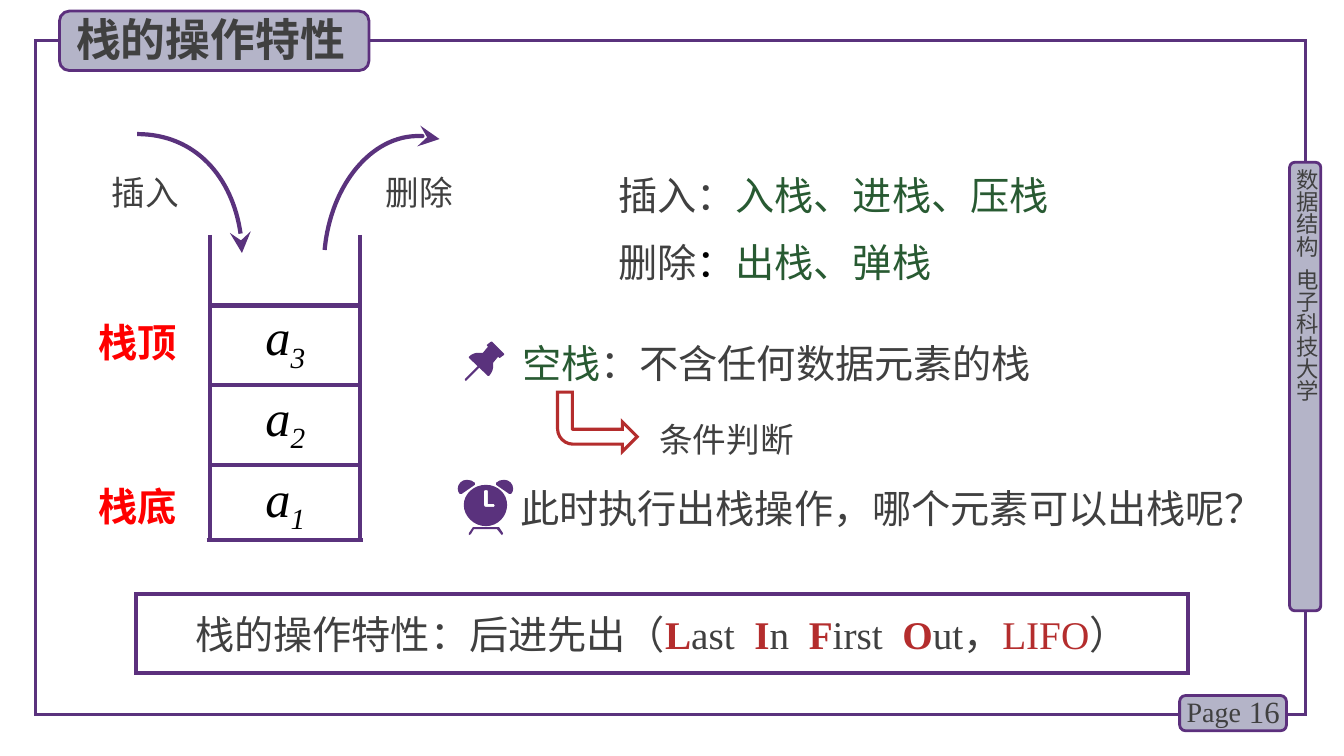
from lxml import etree
from pptx import Presentation
from pptx import util as u
from pptx.dml.color import RGBColor
from pptx.enum import shapes, text
from pptx.oxml.ns import qn

COLORS = {"purple": "5A327D", "edge": "5C307D", "panel": "B4B4C8", "ink": "404040",
          "green": "285A32", "brick": "B42D2D", "red": "FF0000", "black": "000000"}
HAN, ROMAN = "Noto Sans CJK SC", "Times New Roman"

TITLE = "栈的操作特性"
OPERATIONS = [
    [("插入：", "ink"), ("入栈、进栈、压栈", "green")],
    [("删除", "ink"), ("：", "black"), ("出栈、弹栈", "green")],
]
SUMMARY = [("栈的操作特性：后进先出（", "ink")]
for initial, rest in [("L", "ast"), ("I", "n"), ("F", "irst"), ("O", "ut，")]:
    SUMMARY += [(initial, "brick", True), (rest, "ink")]
    if initial != "O":
        SUMMARY.append((" ", "ink"))
SUMMARY += [("LIFO", "brick"), ("）", "ink")]

# place (left, top, width, height), size, font, spans
LABELS = [
    ((11.67, 6.84, 0.78, 0.44), 20, ROMAN, [("Page", "ink")]),
    ((1.01, 1.66, 0.98, 0.5), 24, HAN, [("插入", "ink")]),
    ((3.73, 1.66, 0.92, 0.5), 24, HAN, [("删除", "ink")]),
    ((0.88, 3.11, 1.02, 0.57), 28, ROMAN, [("栈顶", "red", True)]),
    ((0.88, 4.73, 1.02, 0.57), 28, ROMAN, [("栈底", "red", True)]),
    ((5.08, 3.31, 5.66, 0.57), 28, HAN, [("空栈", "green"), ("：不含任何数据元素的栈", "ink")]),
    ((6.44, 4.07, 1.68, 0.57), 24, HAN, [("条件判断", "ink")]),
    ((5.06, 4.7, 7.7, 0.67), 28, HAN, [("此时执行出栈操作，哪个元素可以出栈呢？", "ink")]),
]
TABS = [(12.79, 1.61, 0.31, 4.45), (11.7, 6.9, 1.06, 0.35), (0.59, 0.11, 3.07, 0.59)]

# Stack: walls, base and the shelves between the elements
WALLS, RIM, BASE = (2.08, 3.57), 2.33, 5.36
SHELF_TOP, SHELF_STEP = 3.03, 0.79
ELEMENTS = ["3", "2", "1"]

# Outlines: pairs are corners, sextuples are cubic curves
ARCS = [
    [(1.36, 1.33), (1.94, 1.33, 2.4, 1.86, 2.4, 2.51)],
    [(3.22, 2.48), (3.28, 1.83, 3.69, 1.34, 4.16, 1.35), (4.23, 1.35, 4.29, 1.36, 4.36, 1.38)],
]
CLOCK_LEGS = [(4.99, 5.29), (4.95, 5.23), (4.69, 5.23), (4.65, 5.29), (4.65, 5.31),
              (4.67, 5.3), (4.7, 5.25), (4.93, 5.25), (4.97, 5.3), (4.98, 5.31)]
LEFT_BELL = [(4.63, 4.76), (4.58, 4.76, 4.54, 4.8, 4.54, 4.85),
             (4.54, 4.87, 4.55, 4.89, 4.56, 4.9), (4.58, 4.9), (4.71, 4.81), (4.71, 4.79),
             (4.69, 4.77, 4.66, 4.76, 4.63, 4.76)]
CLOCK_AXIS = 4.815
RIGHT_BELL = [tuple(2 * CLOCK_AXIS - v if i % 2 == 0 else v for i, v in enumerate(step))
              for step in LEFT_BELL]
CLOCK_FACE = [(4.82, 4.81), (4.7, 4.81, 4.6, 4.9, 4.6, 5.01), (4.6, 5.12, 4.7, 5.22, 4.82, 5.22),
              (4.94, 5.22, 5.03, 5.12, 5.03, 5.01), (5.03, 4.9, 4.94, 4.81, 4.82, 4.81)]
CLOCK_HANDS = [(4.9, 5.03), (4.82, 5.03), (4.81, 5.03, 4.8, 5.02, 4.8, 5.01), (4.8, 4.87),
               (4.8, 4.86, 4.84, 4.86, 4.84, 4.87), (4.84, 5), (4.9, 5),
               (4.91, 5, 4.91, 5.03, 4.9, 5.03)]
PIN_HEAD = [(5, 3.51), (4.88, 3.39), (4.87, 3.39), (4.83, 3.42), (4.83, 3.43), (4.84, 3.44),
            (4.79, 3.5), (4.78, 3.5, 4.76, 3.5, 4.75, 3.5), (4.71, 3.5, 4.68, 3.51, 4.65, 3.54),
            (4.65, 3.55), (4.84, 3.73), (4.85, 3.73), (4.88, 3.7, 4.9, 3.65, 4.89, 3.6),
            (4.94, 3.54), (4.95, 3.55), (4.96, 3.55), (5, 3.52)]
PIN_NEEDLE = [(4.62, 3.78), (4.61, 3.77), (4.61, 3.76), (4.74, 3.63), (4.76, 3.63),
              (4.76, 3.64), (4.63, 3.77)]
ICONS = [[CLOCK_LEGS], [LEFT_BELL], [RIGHT_BELL], [CLOCK_FACE, CLOCK_HANDS],
         [PIN_HEAD], [PIN_NEEDLE]]


def rgb(name):
    return RGBColor.from_string(COLORS[name])


def inches(values):
    return [u.Inches(v) for v in values]


def paint(shape, fill=None, line=None, width=0):
    shape.shadow.inherit = False
    if fill:
        shape.fill.solid()
        shape.fill.fore_color.rgb = rgb(fill)
    else:
        shape.fill.background()
    if line:
        shape.line.color.rgb = rgb(line)
        shape.line.width = u.Pt(width)
    else:
        shape.line.fill.background()
    return shape


def add_line_detail(shape, tag, **values):
    """Append a join or an arrowhead to the outline of a shape."""
    outline = shape.element.spPr.find(qn("a:ln"))
    etree.SubElement(outline, qn(tag), **values)


def add_preset(kind, place, fill, line, width):
    shape = paint(page.shapes.add_shape(kind, *inches(place)), fill, line, width)
    if kind == shapes.MSO_SHAPE.RECTANGLE:
        add_line_detail(shape, "a:miter", lim="800000")
    return shape


def write(para, spans, size, font, align=text.PP_ALIGN.LEFT, italic=False):
    """Add (text, colour, bold) spans; a lone space is tracked to double width."""
    para.alignment = align
    for content, color, *bold in spans:
        span = para.add_run()
        span.text = content
        span.font.size, span.font.name = u.Pt(size), font
        span.font.bold, span.font.italic = bool(bold), italic
        span.font.color.rgb = rgb(color)
        props = span._r.get_or_add_rPr()
        etree.SubElement(props, qn("a:ea")).set("typeface", HAN)
        if content == " ":
            props.set("spc", str(size * 25))


def set_frame(shape, margins=(0.1, 0.05, 0.1, 0.05)):
    frame = shape.text_frame
    frame.word_wrap = True
    frame.auto_size = text.MSO_AUTO_SIZE.NONE
    frame.vertical_anchor = text.MSO_ANCHOR.MIDDLE
    (frame.margin_left, frame.margin_top,
     frame.margin_right, frame.margin_bottom) = inches(margins)
    return frame


def add_label(place, size, font, spans, margins=(0.1, 0.05, 0.1, 0.05), **style):
    frame = set_frame(page.shapes.add_textbox(*inches(place)), margins)
    write(frame.paragraphs[0], spans, size, font, **style)
    return frame


def add_outline(contours, close):
    """Draw contours through all their points, then bend each sextuple into a curve."""
    builder = page.shapes.build_freeform(*inches(contours[0][0]), scale=1.0)
    for i, (start, *steps) in enumerate(contours):
        if i:
            builder.move_to(*inches(start))
        points = [inches(step[k:k + 2]) for step in steps for k in range(0, len(step), 2)]
        builder.add_line_segments(points, close=close)
    shape = builder.convert_to_shape()
    segments = iter(list(shape.element.iter(qn("a:lnTo"))))
    for step in (step for contour in contours for step in contour[1:]):
        first = next(segments)
        if len(step) == 6:
            curve = etree.Element(qn("a:cubicBezTo"))
            first.addprevious(curve)
            for segment in (first, next(segments), next(segments)):
                curve.append(segment[0])
                segment.getparent().remove(segment)
    return shape


def add_line(*ends):
    line = page.shapes.add_connector(shapes.MSO_CONNECTOR.STRAIGHT, *inches(ends))
    line.line.color.rgb, line.line.width = rgb("purple"), u.Pt(3)
    etree.SubElement(line.element.spPr, qn("a:effectLst"))


deck = Presentation()
deck.slide_width, deck.slide_height = inches((13.33, 7.5))
page = deck.slides.add_slide(deck.slide_layouts[1])
title, body = page.placeholders

# Frame, tabs and title
add_preset(shapes.MSO_SHAPE.RECTANGLE, (0.35, 0.4, 12.6, 6.69), None, "purple", 2.25)
for place in TABS:
    add_preset(shapes.MSO_SHAPE.ROUNDED_RECTANGLE, place, "panel", "edge", 2)
title.left, title.top, title.width, title.height = inches((0.62, 0.06, 2.94, 0.64))
write(set_frame(title).paragraphs[0], [(TITLE, "ink", True)], 32, HAN, text.PP_ALIGN.CENTER)
title.element.getparent().append(title.element)

side = add_label((12.83, 1.67, 0.27, 4.49), 16, HAN,
                 [("数据结构", "ink"), (" ", "ink"), ("电子科技大学", "ink")], (0, 0, 0, 0))
side._txBody.bodyPr.set("vert", "eaVert")
add_label((12.2, 6.86, 0.59, 0.4), 22, ROMAN, [("16", "ink")], align=text.PP_ALIGN.RIGHT)

# Operation names
body.left, body.top, body.width, body.height = inches((6.03, 1.63, 4.51, 1.27))
frame = set_frame(body)
for i, spans in enumerate(OPERATIONS):
    para = frame.add_paragraph() if i else frame.paragraphs[0]
    props = para._p.get_or_add_pPr()
    props.set("marL", "0")
    props.set("indent", "0")
    etree.SubElement(props, qn("a:buNone"))
    para.space_before = u.Pt(14 if i else 0)
    write(para, spans, 28, HAN)

# Stack with its elements
for x in WALLS:
    add_line(x, RIM, x, BASE)
add_line(WALLS[0] - 0.03, BASE, WALLS[1] + 0.03, BASE)
for i, index in enumerate(ELEMENTS):
    shelf = SHELF_TOP + i * SHELF_STEP
    add_line(WALLS[0], shelf, WALLS[1], shelf)
    cell = add_label((2.18, 3.04 + 0.8 * i, 1.3, 0.71), 36, ROMAN,
                     [("a", "black"), (index, "black")], (0.1, 0, 0.1, 0.05),
                     align=text.PP_ALIGN.CENTER, italic=True)
    cell.paragraphs[0].runs[1]._r.get_or_add_rPr().set("baseline", "-25000")

for arc in ARCS:
    curve = paint(add_outline([arc], close=False), None, "purple", 3)
    add_line_detail(curve, "a:tailEnd", type="stealth", w="lg", len="lg")
for contours in ICONS:
    paint(add_outline(contours, close=True), "purple")

turn = add_preset(shapes.MSO_SHAPE.BENT_ARROW, (5.53, 3.89, 0.79, 0.59), None, "brick", 2.25)
for i, share in enumerate((0.25, 0.25, 0.25, 0.26)):
    turn.adjustments[i] = share
turn.element.spPr.find(qn("a:xfrm")).set("flipV", "1")
add_line_detail(turn, "a:miter", lim="800000")

for label in LABELS:
    add_label(*label)
summary = add_preset(shapes.MSO_SHAPE.RECTANGLE, (1.35, 5.89, 10.43, 0.79), None, "edge", 3)
write(set_frame(summary, (0.1, 0, 0.1, 0)).paragraphs[0], SUMMARY, 28, ROMAN,
      text.PP_ALIGN.CENTER)

deck.save("out.pptx")
